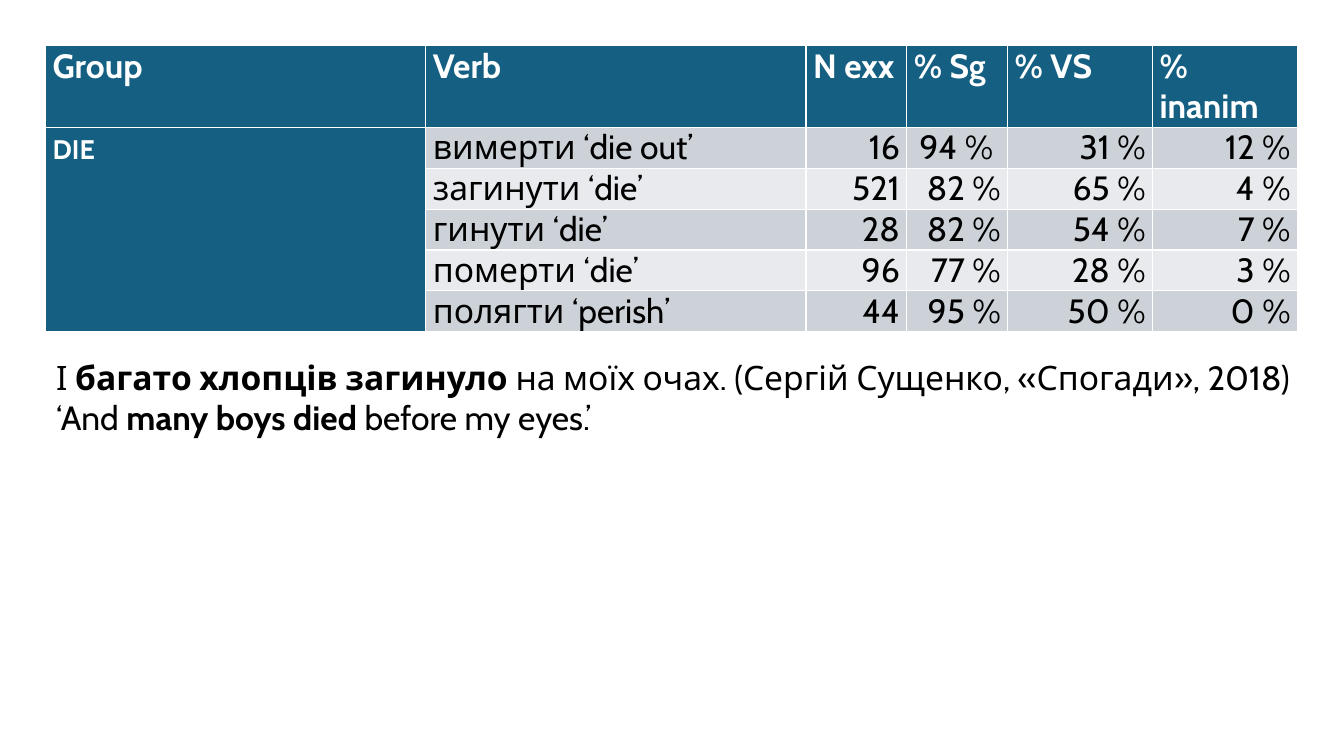
from pptx import Presentation
from pptx import util as u
from pptx.dml import color
from pptx.enum import text

FONT = {"name": "Cabin", "size": u.Pt(24)}
WHITE, BLACK, TEAL = "FFFFFF", "000000", "156082"
BANDS = ("CCD2D8", "E8EAED")
COLUMN_WIDTHS = (271.6, 271.6, 72, 72, 103.5, 103.5)
ROW_HEIGHT = 26.64
HEADERS = ("Group", "Verb", "N exx", "% Sg", "% VS", "% inanim")
GROUP = "die"
VERBS = (
    ("вимерти ‘die out’", "16", "94 % ", "31 %", "12 %"),
    ("загинути ‘die’", "521", "82 %", "65 %", "4 %"),
    ("гинути ‘die’", "28", "82 %", "54 %", "7 %"),
    ("померти ‘die’", "96", "77 %", "28 %", "3 %"),
    ("полягти ‘perish’", "44", "95 %", "50 %", "0 %"),
)
EXAMPLE = (
    (("І ", False), ("багато хлопців загинуло ", True),
     ("на моїх очах. (Сергій Сущенко, «Спогади», 2018)", False)),
    (("‘And ", False), ("many boys died", True), (" before my eyes.’", False)),
)


def rgb(value):
    return color.RGBColor.from_string(value)


def set_all(target, values):
    for name, value in values.items():
        setattr(target, name, value)


def add_run(paragraph, wording, ink, bold):
    run = paragraph.add_run()
    run.text = wording
    set_all(run.font, {**FONT, "bold": bold})
    run.font.color.rgb = rgb(ink)
    return run


def fill_cell(cell, wording, fill, ink=WHITE, bold=True, align=text.PP_ALIGN.LEFT):
    set_all(cell, {"margin_left": u.Pt(5), "margin_right": u.Pt(5),
                   "margin_top": 0, "margin_bottom": 0})
    cell.fill.solid()
    cell.fill.fore_color.rgb = rgb(fill)
    paragraph = cell.text_frame.paragraphs[0]
    paragraph.alignment = align
    return add_run(paragraph, wording, ink, bold)


def add_verb_table(slide, left, top):
    row_count = len(VERBS) + 1
    table = slide.shapes.add_table(
        row_count, len(HEADERS), u.Pt(left), u.Pt(top),
        u.Pt(sum(COLUMN_WIDTHS)), u.Pt(row_count * ROW_HEIGHT)).table
    table.first_col = True
    for column, width in zip(table.columns, COLUMN_WIDTHS):
        column.width = u.Pt(width)
    for row in table.rows:
        row.height = u.Pt(ROW_HEIGHT)
    for index, header in enumerate(HEADERS):
        fill_cell(table.cell(0, index), header, TEAL)

    group_cell = table.cell(1, 0)
    group_cell.merge(table.cell(row_count - 1, 0))
    group_run = fill_cell(group_cell, GROUP, TEAL)
    group_run.font._element.set("cap", "small")

    for row, values in enumerate(VERBS, start=1):
        for column, value in enumerate(values, start=1):
            align = text.PP_ALIGN.LEFT if column == 1 else text.PP_ALIGN.RIGHT
            fill_cell(table.cell(row, column), value, BANDS[(row - 1) % 2],
                      BLACK, False, align)


def add_example(slide, left, top, width, height):
    shape = slide.shapes.add_textbox(u.Pt(left), u.Pt(top), u.Pt(width), u.Pt(height))
    frame = shape.text_frame
    set_all(frame, {"word_wrap": True, "auto_size": text.MSO_AUTO_SIZE.SHAPE_TO_FIT_TEXT})
    for index, parts in enumerate(EXAMPLE):
        paragraph = frame.add_paragraph() if index else frame.paragraphs[0]
        for wording, bold in parts:
            add_run(paragraph, wording, BLACK, bold)


def main():
    presentation = Presentation()
    set_all(presentation, {"slide_width": u.Pt(960), "slide_height": u.Pt(540)})
    slide = presentation.slides.add_slide(presentation.slide_layouts[6])
    add_verb_table(slide, 32.6, 32.6)
    add_example(slide, 33.1, 251.5, 897, 65.4)
    presentation.save("out.pptx")


if __name__ == "__main__":
    main()
